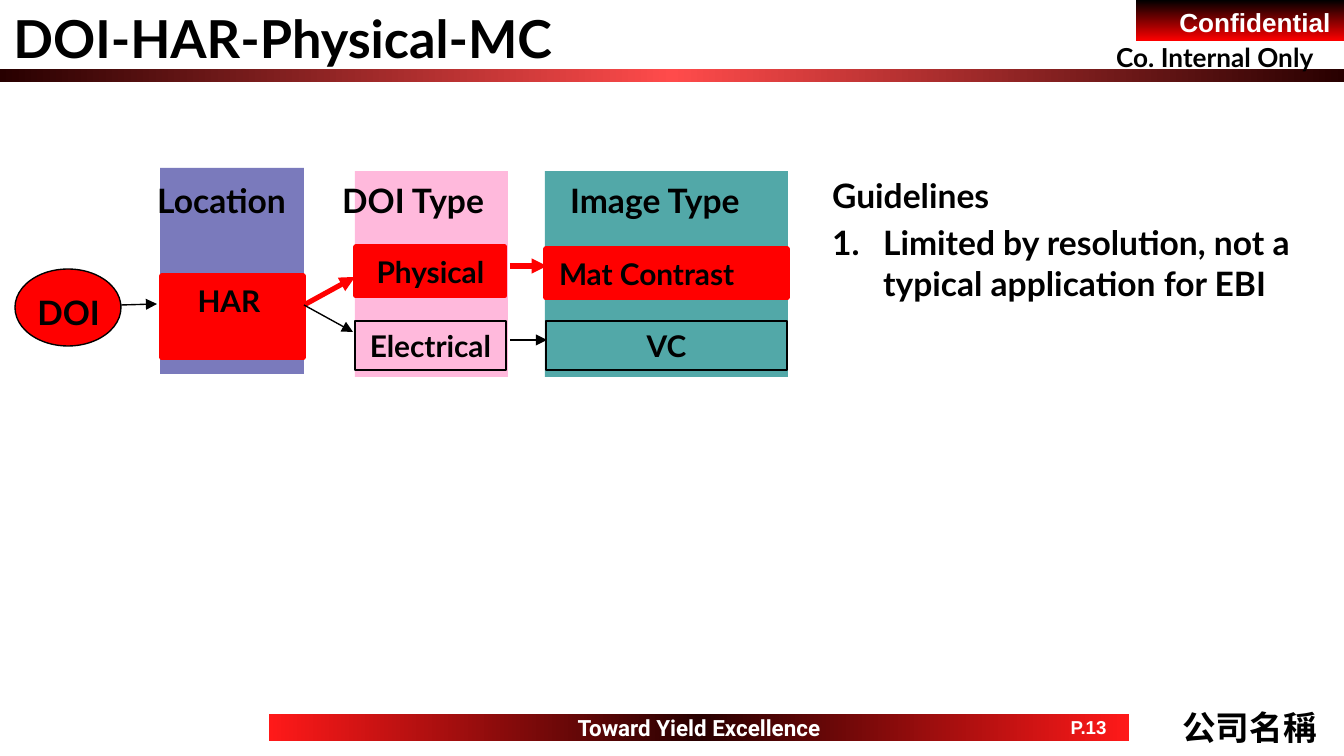
import pptx
import pptx.util
import pptx.dml.color
import pptx.enum.shapes
import pptx.enum.text
import pptx.oxml
import pptx.oxml.ns
from lxml import etree

RGBColor = pptx.dml.color.RGBColor
BLACK = RGBColor(0x00, 0x00, 0x00)
WHITE = RGBColor(0xFF, 0xFF, 0xFF)
RED = RGBColor(0xFF, 0x00, 0x00)
BRIGHT_RED = RGBColor(0xFF, 0x19, 0x19)
LIGHT_RED = RGBColor(0xFF, 0x4B, 0x4B)
DARK_RED = RGBColor(0x28, 0x00, 0x00)
TEAL = RGBColor(0x00, 0x80, 0x80)
PINK = RGBColor(0xFF, 0x99, 0xCC)
INDIGO = RGBColor(0x33, 0x33, 0x99)

PX = 914400 / 134.4
MSO = pptx.enum.shapes.MSO_SHAPE
LEFT = pptx.enum.text.PP_ALIGN.LEFT
CENTER = pptx.enum.text.PP_ALIGN.CENTER
RIGHT = pptx.enum.text.PP_ALIGN.RIGHT
TOP = pptx.enum.text.MSO_ANCHOR.TOP
MIDDLE = pptx.enum.text.MSO_ANCHOR.MIDDLE
qn = pptx.oxml.ns.qn


def add_box(rect, fill=None, line=None, width=0.75, kind=MSO.RECTANGLE):
    sp = s.shapes.add_shape(kind, *[round(v * PX) for v in rect])
    sp.shadow.inherit = False
    if fill is None:
        sp.fill.background()
    else:
        sp.fill.solid()
        sp.fill.fore_color.rgb = fill
    if line is None:
        sp.line.fill.background()
    else:
        sp.line.color.rgb = line
        sp.line.width = pptx.util.Pt(width)
    return sp


def add_text(sp, text, size, font="Lato", color=BLACK, align=LEFT, anchor=TOP):
    tf = sp.text_frame
    tf.word_wrap = True
    tf.vertical_anchor = anchor
    if anchor == MIDDLE:
        tf.margin_top = tf.margin_bottom = 0
    p = tf.paragraphs[0] if not tf.text else tf.add_paragraph()
    p.alignment = align
    r = p.add_run()
    r.text = text
    r.font.size = pptx.util.Pt(size)
    r.font.name = font
    r.font.bold = True
    r.font.color.rgb = color
    return p


prs = pptx.Presentation()
prs.slide_width = round(1344 * PX)
prs.slide_height = round(756 * PX)
s = prs.slides.add_slide(prs.slide_layouts[5])

title = s.shapes.title
title.left, title.top, title.width, title.height = 0, 0, round(1128 * PX), round(77 * PX)
title.text_frame.auto_size = pptx.enum.text.MSO_AUTO_SIZE.NONE
add_text(title, "DOI-HAR-Physical-MC", 28)

bars = []
for rect, colors, angle in [
    ((0, 69, 1344, 13), (DARK_RED, LIGHT_RED, DARK_RED), 0),
    ((1136, 0, 208, 41), (BLACK, RED), 90),
    ((269, 714, 860, 27), (BRIGHT_RED, DARK_RED, BRIGHT_RED), 0),
]:
    sp = add_box(rect)
    sp.fill.gradient()
    grad = sp._element.spPr.find(qn("a:gradFill"))
    stops = grad.find(qn("a:gsLst"))
    for gs in list(stops):
        stops.remove(gs)
    for i, color in enumerate(colors):
        gs = etree.SubElement(stops, qn("a:gs"), pos=str(100000 * i // (len(colors) - 1)))
        etree.SubElement(gs, qn("a:srgbClr"), val=str(color))
    grad.find(qn("a:lin")).set("ang", str(angle * 60000))
    bars.append(sp)
add_text(bars[1], "Confidential", 14, "Arial", WHITE, RIGHT)
add_text(bars[2], "Toward Yield Excellence", 12, "Roboto", WHITE, CENTER, MIDDLE)

for rect, text, size, font, color, align, anchor in [
    ((1048, 714, 81, 27), "P.13", 10, "Arial", WHITE, CENTER, MIDDLE),
    ((1103, 35, 242, 46), "Co. Internal Only", 14, "Lato", BLACK, LEFT, TOP),
    ((1169, 700, 161, 54), "公司名稱", 18, "Arial", BLACK, CENTER, MIDDLE),
]:
    sp = s.shapes.add_textbox(*[round(v * PX) for v in rect])
    add_text(sp, text, size, font, color, align, anchor)

add_box((15, 269, 106, 77), RED, BLACK, kind=MSO.OVAL)

for rect, color, opacity in [
    ((545, 171, 243, 206), TEAL, 68),
    ((355, 171, 153, 206), PINK, 68),
    ((160, 168, 144, 206), INDIGO, 65),
]:
    sp = add_box(rect, color)
    clr = sp._element.spPr.find(qn("a:solidFill")).find(qn("a:srgbClr"))
    etree.SubElement(clr, qn("a:alpha"), val=str(opacity * 1000))

sp = s.shapes.add_textbox(*[round(v * PX) for v in (24, 285, 95, 54)])
add_text(sp, "DOI", 18)

sp = s.shapes.add_textbox(*[round(v * PX) for v in (144, 173, 1180, 54)])
p = add_text(sp, "Location\tDOI Type\tImage Type", 18)
tabs = etree.SubElement(p._p.get_or_add_pPr(), qn("a:tabLst"))
for pos in (185, 413):
    etree.SubElement(tabs, qn("a:tab"), pos=str(round(pos * PX)), algn="l")

for rect, text, align, inset, fill, line, width in [
    ((162, 276, 141, 82), "HAR ", CENTER, 0, RED, RED, 2.75),
    ((546, 249, 241, 49), "Mat Contrast", LEFT, 13, RED, RED, 2.75),
    ((546, 321, 241, 49), "VC", CENTER, 13, None, BLACK, 0.75),
    ((356, 247, 149, 49), "Physical", CENTER, 0, RED, RED, 2.75),
    ((355, 321, 151, 49), "Electrical", CENTER, 0, None, BLACK, 0.75),
]:
    sp = add_box(rect, fill, line, width)
    sp.text_frame.margin_left = sp.text_frame.margin_right = round(inset * PX)
    add_text(sp, text, 16, align=align)

for ends, color, width in [
    ((121, 305, 157, 304), BLACK, 0.75),
    ((304, 305, 355, 277), RED, 2.75),
    ((304, 305, 353, 332), BLACK, 0.75),
    ((510, 340, 547, 340), BLACK, 0.75),
    ((510, 266, 547, 266), RED, 2.75),
]:
    cn = s.shapes.add_connector(pptx.enum.shapes.MSO_CONNECTOR.STRAIGHT, *[round(v * PX) for v in ends])
    cn.line.color.rgb = color
    cn.line.width = pptx.util.Pt(width)
    etree.SubElement(cn.line._get_or_add_ln(), qn("a:tailEnd"), type="triangle")
    etree.SubElement(cn._element.spPr, qn("a:effectLst"))

sp = s.shapes.add_textbox(*[round(v * PX) for v in (819, 168, 536, 192)])
add_text(sp, "Guidelines", 18)
p = add_text(sp, "Limited by resolution, not a typical application for EBI", 18)
p.space_before = pptx.util.Pt(4)
pPr = p._p.get_or_add_pPr()
pPr.set("marL", str(round(51 * PX)))
pPr.set("indent", str(round(-51 * PX)))
etree.SubElement(pPr, qn("a:buAutoNum"), type="arabicPeriod")

prs.save("out.pptx")
